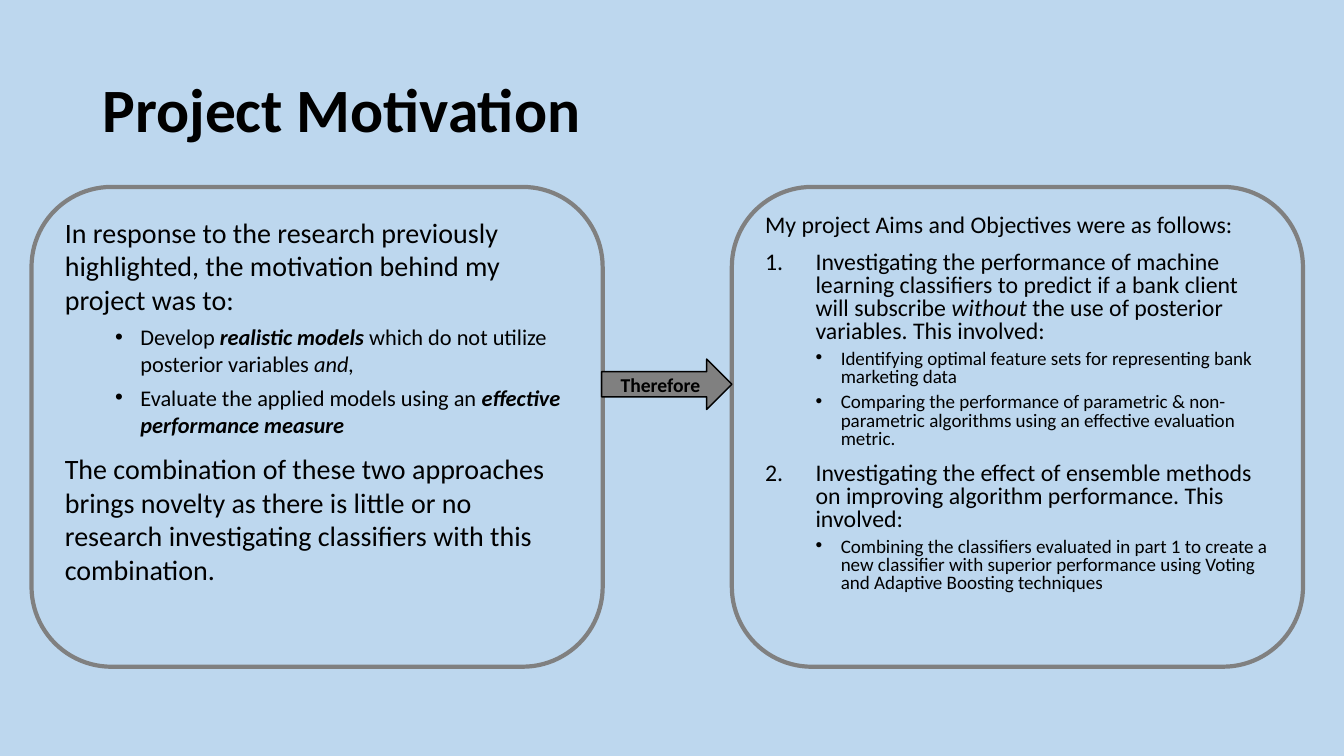
"""Build the Project Motivation slide."""
import pptx
import pptx.util
import pptx.dml.color
import pptx.enum.shapes
import pptx.enum.text
import pptx.oxml.ns
import lxml.etree

PX = 9525
SKY = pptx.dml.color.RGBColor(0xBD, 0xD7, 0xEE)
GREY = pptx.dml.color.RGBColor(0x80, 0x80, 0x80)
BLACK = pptx.dml.color.RGBColor(0, 0, 0)
SHAPE = pptx.enum.shapes.MSO_SHAPE
ANCHOR = pptx.enum.text.MSO_ANCHOR
ALIGN = pptx.enum.text.PP_ALIGN


def add_run(para, text, size, bold=False, slant=False):
    run = para.add_run()
    run.text = text
    font = run.font
    font.name = "Calibri"
    font.size = pptx.util.Pt(size)
    font.bold = bold
    font.italic = slant
    font.color.rgb = BLACK


def add_mark(para, left, hang, tag, **attrs):
    props = para._p.get_or_add_pPr()
    props.set("marL", str(left * PX))
    props.set("indent", str(-hang * PX))
    face = lxml.etree.SubElement(props, pptx.oxml.ns.qn("a:buFont"))
    face.set("typeface", "Arial" if tag == "a:buChar" else "+mj-lt")
    lxml.etree.SubElement(props, pptx.oxml.ns.qn(tag), attrs)


deck = pptx.Presentation()
deck.slide_width = 1280 * PX
deck.slide_height = 720 * PX
slide = deck.slides.add_slide(deck.slide_layouts[6])
slide.background.fill.solid()
slide.background.fill.fore_color.rgb = SKY

title = slide.shapes.add_textbox(88 * PX, 38 * PX, 1104 * PX, 139 * PX)
frame = title.text_frame
frame.word_wrap = True
frame.vertical_anchor = ANCHOR.MIDDLE
frame.paragraphs[0].line_spacing = 0.9
add_run(frame.paragraphs[0], "Project Motivation", 44, bold=True)

motives = [
    ("plain", [("In response to the research previously highlighted, "
                "the motivation behind my project was to:", "")]),
    ("dot", [("Develop ", ""), ("realistic models ", "bi"),
             ("which do not utilize posterior variables ", ""), ("and,", "i")]),
    ("dot", [("Evaluate the applied models using an ", ""),
             ("effective performance measure", "bi")]),
    ("plain", [("The combination of these two approaches brings novelty as there is "
                "little or no research investigating classifiers with this combination.", "")]),
]
aims = [
    ("plain", [("My project Aims and Objectives were as follows:", "")]),
    ("number", [("Investigating the performance of machine learning classifiers "
                 "to predict if a bank client will subscribe ", ""), ("without", "i"),
                (" the use of posterior variables. This involved:", "")]),
    ("dot", [("Identifying optimal feature sets for representing bank marketing data", "")]),
    ("dot", [("Comparing the performance of parametric & non-parametric algorithms "
              "using an effective evaluation metric.", "")]),
    ("number", [("Investigating the effect of ensemble methods on improving "
                 "algorithm performance. This involved:", "")]),
    ("dot", [("Combining the classifiers evaluated in part 1 to create a new classifier "
              "with superior performance using Voting and Adaptive Boosting techniques", "")]),
]

for left, main, small, pitch, items in [(30, 20, 16, 1.0, motives),
                                        (697, 17, 13.6, 0.8, aims)]:
    panel = slide.shapes.add_shape(SHAPE.ROUNDED_RECTANGLE,
                                   left * PX, 178 * PX, 544 * PX, 457 * PX)
    panel.shadow.inherit = False
    panel.fill.background()
    panel.line.color.rgb = GREY
    panel.line.width = pptx.util.Pt(3)
    frame = panel.text_frame
    frame.word_wrap = True
    frame.vertical_anchor = ANCHOR.TOP
    for spot, (kind, runs) in enumerate(items):
        para = frame.add_paragraph() if spot else frame.paragraphs[0]
        para.alignment = ALIGN.LEFT
        para.line_spacing = pitch
        para.space_before = pptx.util.Pt(5 if kind == "dot" else 10)
        if kind == "dot":
            para.level = 1
            add_mark(para, 72, 24, "a:buChar", char="•")
        elif kind == "number":
            add_mark(para, 48, 48, "a:buAutoNum", type="arabicPeriod")
        for text, style in runs:
            add_run(para, text, small if kind == "dot" else main,
                    "b" in style, "i" in style)

arrow = slide.shapes.add_shape(SHAPE.RIGHT_ARROW, 573 * PX, 342 * PX, 124 * PX, 48 * PX)
arrow.shadow.inherit = False
arrow.fill.solid()
arrow.fill.fore_color.rgb = GREY
arrow.line.color.rgb = BLACK
arrow.line.width = pptx.util.Pt(1)
frame = arrow.text_frame
frame.word_wrap = True
frame.vertical_anchor = ANCHOR.MIDDLE
frame.paragraphs[0].alignment = ALIGN.CENTER
add_run(frame.paragraphs[0], "Therefore", 14, bold=True)

deck.save("out.pptx")
